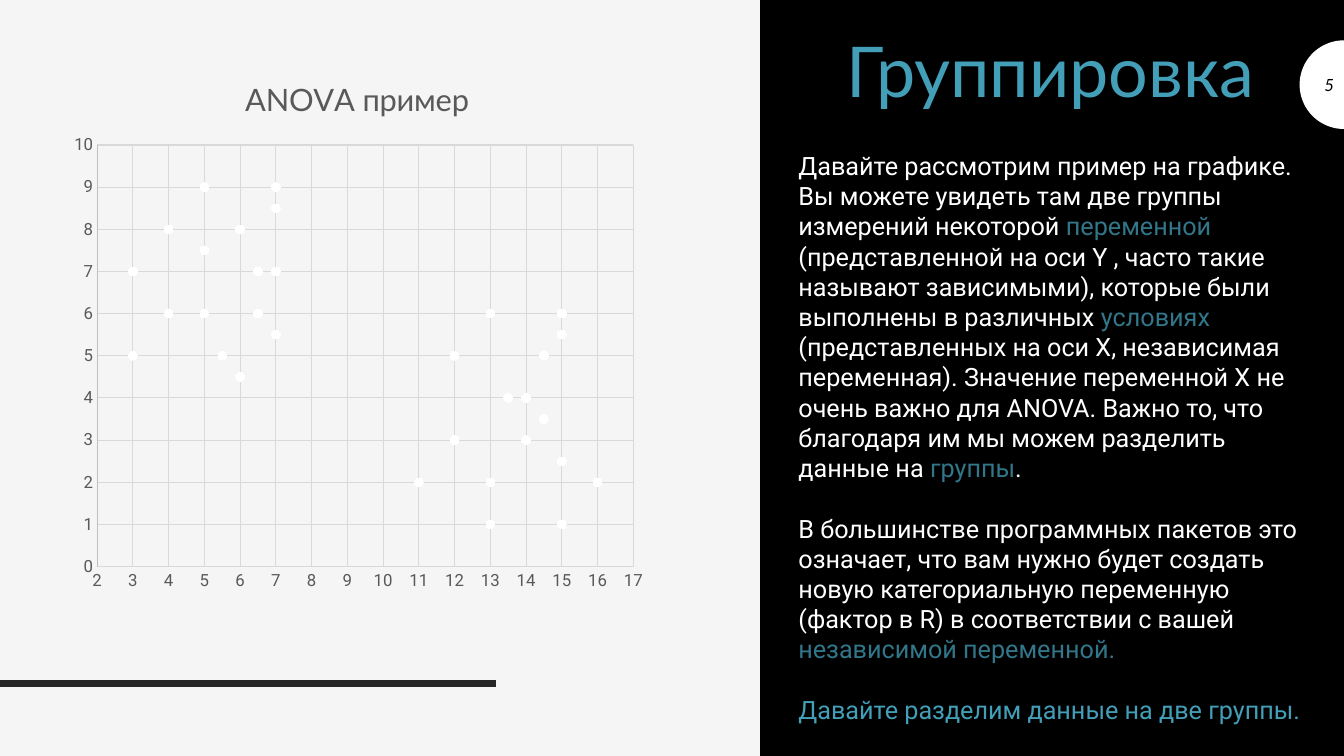
from math import cos, pi, sin

from lxml.etree import SubElement
from pptx import Presentation
from pptx.chart.data import XyChartData
from pptx.dml.color import RGBColor
from pptx.enum.chart import XL_CHART_TYPE, XL_MARKER_STYLE, XL_TICK_MARK
from pptx.enum.shapes import MSO_CONNECTOR, MSO_SHAPE
from pptx.enum.text import MSO_ANCHOR, PP_ALIGN
from pptx.oxml import parse_xml
from pptx.oxml.ns import nsdecls, qn
from pptx.util import Inches, Pt

PAPER = RGBColor(0xF5, 0xF5, 0xF5)
BLACK = RGBColor(0, 0, 0)
WHITE = RGBColor(0xFF, 0xFF, 0xFF)
DARK = RGBColor(0x26, 0x26, 0x26)
GRAY = RGBColor(0x59, 0x59, 0x59)
AXIS = RGBColor(0xBF, 0xBF, 0xBF)
GRID = RGBColor(0xD9, 0xD9, 0xD9)
TEAL = RGBColor(0x43, 0x9E, 0xB7)
DEEP = RGBColor(0x32, 0x76, 0x89)

GROUPS = {
    "Series 1": [(3, 7), (4, 6), (4, 8), (5, 6), (5, 9), (5, 7.5), (5.5, 5),
                 (6, 4.5), (6, 8), (6.5, 6), (6.5, 7), (7, 9), (7, 5.5),
                 (7, 7), (7, 8.5), (3, 5)],
    "Series 2": [(11, 2), (12, 5), (12, 3), (13, 6), (13, 2), (13, 1),
                 (13.5, 4), (14, 3), (14, 4), (14.5, 3.5), (14.5, 5), (15, 6),
                 (15, 2.5), (15, 1), (15, 5.5), (16, 2)],
    "Series 3": [],
}
STORY = [
    [("Давайте рассмотрим пример на графике. Вы можете увидеть там две группы "
      "измерений некоторой ", WHITE),
     ("переменной", DEEP),
     (" (представленной на оси Y , часто такие называют зависимыми), которые "
      "были выполнены в различных ", WHITE),
     ("условиях", DEEP),
     (" (представленных на оси X, независимая переменная). Значение переменной "
      "X не очень важно для ANOVA. Важно то, что благодаря им мы можем "
      "разделить данные на ", WHITE),
     ("группы", DEEP), (".", WHITE)],
    [("В большинстве программных пакетов это означает, что вам нужно будет "
      "создать новую категориальную переменную (фактор в R) в соответствии с "
      "вашей ", WHITE),
     ("независимой переменной.", DEEP)],
    [("Давайте разделим данные на две группы.", TEAL)],
]


def style(font, name, size, color):
    font.name, font.size, font.color.rgb = name, Pt(size), color


def paint(shape, color):
    shape.shadow.inherit = False
    shape.fill.solid()
    shape.fill.fore_color.rgb = color


def place(shape, x, y, w, h):
    shape.left, shape.top = Inches(x), Inches(y)
    shape.width, shape.height = Inches(w), Inches(h)


def add_rule(slide, x, y, w):
    rule = slide.shapes.add_connector(
        MSO_CONNECTOR.STRAIGHT, Inches(x), Inches(y), Inches(x + w), Inches(y))
    rule.line.color.rgb = DARK
    rule.line.width = Pt(4.5)
    SubElement(rule._element.spPr, qn("a:effectLst"))


def add_badge(slide, x, y, r):
    """Half disc with its flat side at x, and the page number."""
    turns = [pi / 2 + pi * i / 48 for i in range(49)]
    dots = [(Inches(x + r * cos(t)), Inches(y + r * sin(t))) for t in turns]
    build = slide.shapes.build_freeform(*dots[0])
    build.add_line_segments(dots[1:], close=True)
    disc = build.convert_to_shape()
    paint(disc, WHITE)
    disc.line.fill.background()

    box = slide.shapes.add_textbox(
        Inches(x - 0.45), Inches(y - 0.2), Inches(0.45), Inches(0.4))
    frame = box.text_frame
    frame.word_wrap = True
    frame.vertical_anchor = MSO_ANCHOR.MIDDLE
    frame.text = "5"
    para = frame.paragraphs[0]
    para.alignment = PP_ALIGN.RIGHT
    style(para.runs[0].font, "Lato", 12, BLACK)
    para.runs[0].font.italic = True


def add_panel(slide, x, y, w, h):
    # Black ground
    ground = slide.shapes.add_shape(
        MSO_SHAPE.RECTANGLE, Inches(x), Inches(y), Inches(w), Inches(h))
    paint(ground, BLACK)
    ground.line.color.rgb = BLACK
    ground.line.width = Pt(1)
    add_badge(slide, x + w, y + 0.84, 0.44)

    # Heading, moved in front of the ground
    title = slide.shapes.title
    slide.shapes._spTree.append(title._element)
    place(title, x + 0.34, y + 0.31, 5.08, 0.87)
    title.text_frame.text = "Группировка"
    title.text_frame.vertical_anchor = MSO_ANCHOR.MIDDLE
    para = title.text_frame.paragraphs[0]
    para.alignment = PP_ALIGN.CENTER
    para.line_spacing = 0.9
    style(para.runs[0].font, "Lato", 50, TEAL)

    # Story
    box = slide.shapes.add_textbox(
        Inches(x + 0.28), Inches(y + 1.44), Inches(5.19), Inches(5.86))
    frame = box.text_frame
    frame.word_wrap = True
    for i, parts in enumerate(STORY):
        para = frame.add_paragraph() if i else frame.paragraphs[0]
        if i:
            para.space_before = Pt(21.5)
        for text, color in parts:
            run = para.add_run()
            run.text = text
            style(run.font, "Roboto", 18, color)


def set_layout(item, inner=False, **spots):
    """Fix the place of a title or plot as shares of the chart."""
    old = item.find(qn("c:layout"))
    if old is not None:
        item.remove(old)
    target = '<c:layoutTarget val="inner"/>' if inner else ""
    modes = "".join(f'<c:{k}Mode val="edge"/>' for k in "xy")
    values = "".join(f'<c:{k} val="{v}"/>' for k, v in spots.items())
    node = parse_xml(f'<c:layout {nsdecls("c")}><c:manualLayout>{target}'
                     f'{modes}{values}</c:manualLayout></c:layout>')
    text = item.find(qn("c:tx"))
    item.insert(0 if text is None else 1, node)


def format_axis(axis, low, high, color):
    axis.minimum_scale, axis.maximum_scale, axis.major_unit = low, high, 1
    axis.has_major_gridlines = True
    axis.major_tick_mark = axis.minor_tick_mark = XL_TICK_MARK.NONE
    lines = (axis.format.line, color), (axis.major_gridlines.format.line, GRID)
    for line, tint in lines:
        line.color.rgb = tint
        line.width = Pt(0.75)
    style(axis.tick_labels.font, "Roboto", 12, GRAY)
    axis.tick_labels.number_format = "General"
    axis.tick_labels.number_format_is_linked = False


def add_plot(slide, x, y, w, h):
    # Every series spans all x values, with gaps outside its own group
    data = XyChartData()
    for name in GROUPS:
        series = data.add_series(name)
        for group, points in GROUPS.items():
            for across, up in points:
                series.add_data_point(across, up if group == name else None)
    chart = slide.shapes.add_chart(
        XL_CHART_TYPE.XY_SCATTER, Inches(x), Inches(y), Inches(w), Inches(h),
        data).chart
    for point in list(chart._chartSpace.iter(qn("c:pt"))):
        if point.findtext(qn("c:v")) in ("None", "", None):
            point.getparent().remove(point)
    style(chart.font, "Roboto", 10, BLACK)
    chart.has_legend = False

    # Title
    chart.has_title = True
    frame = chart.chart_title.text_frame
    frame.text = "ANOVA пример"
    font = frame.paragraphs[0].runs[0].font
    style(font, "Lato", 22, GRAY)
    font.bold = False
    set_layout(chart.chart_title._element, x=0.3, y=0.02)

    # Axes and points
    format_axis(chart.category_axis, 2, 17, GRID)
    format_axis(chart.value_axis, 0, 10, AXIS)
    plot = chart.plots[0]
    plot.vary_by_categories = False
    set_layout(plot._element.getparent(), inner=True,
               x=0.06, y=0.155, w=0.903, h=0.782)
    for series in plot.series:
        series.format.line.fill.background()
        series.smooth = False
        mark = series.marker
        mark.style, mark.size = XL_MARKER_STYLE.CIRCLE, 6
        mark.format.fill.solid()
        mark.format.fill.fore_color.rgb = WHITE
        mark.format.line.color.rgb = WHITE


def main():
    deck = Presentation()
    deck.slide_width, deck.slide_height = Inches(13.33), Inches(7.5)
    slide = deck.slides.add_slide(deck.slide_layouts[5])
    slide.background.fill.solid()
    slide.background.fill.fore_color.rgb = PAPER
    add_rule(slide, 0, 6.78, 4.92)
    add_panel(slide, 7.54, 0, 5.79, 7.5)
    add_plot(slide, 0.61, 0.61, 5.89, 5.35)
    deck.save("out.pptx")


if __name__ == "__main__":
    main()
